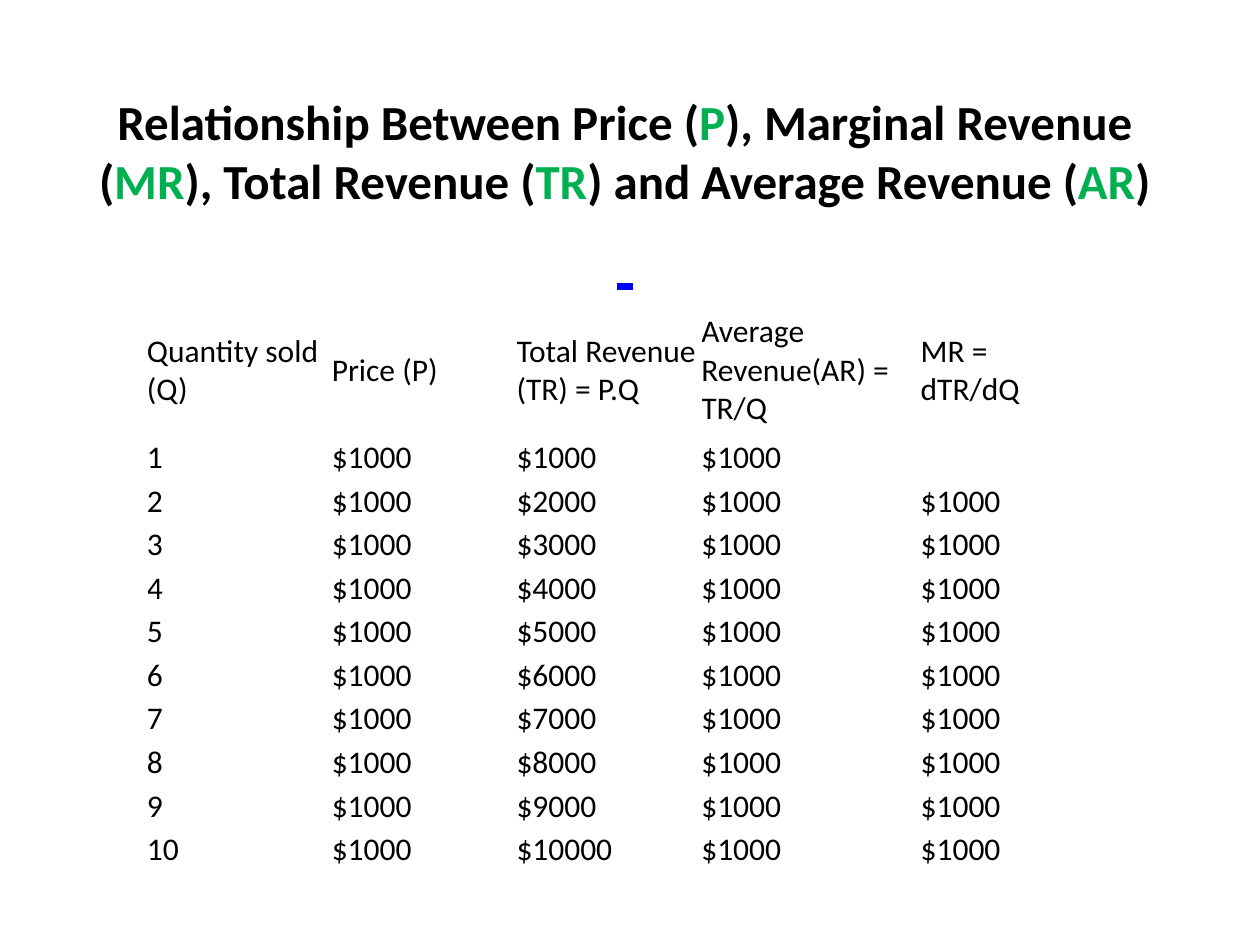
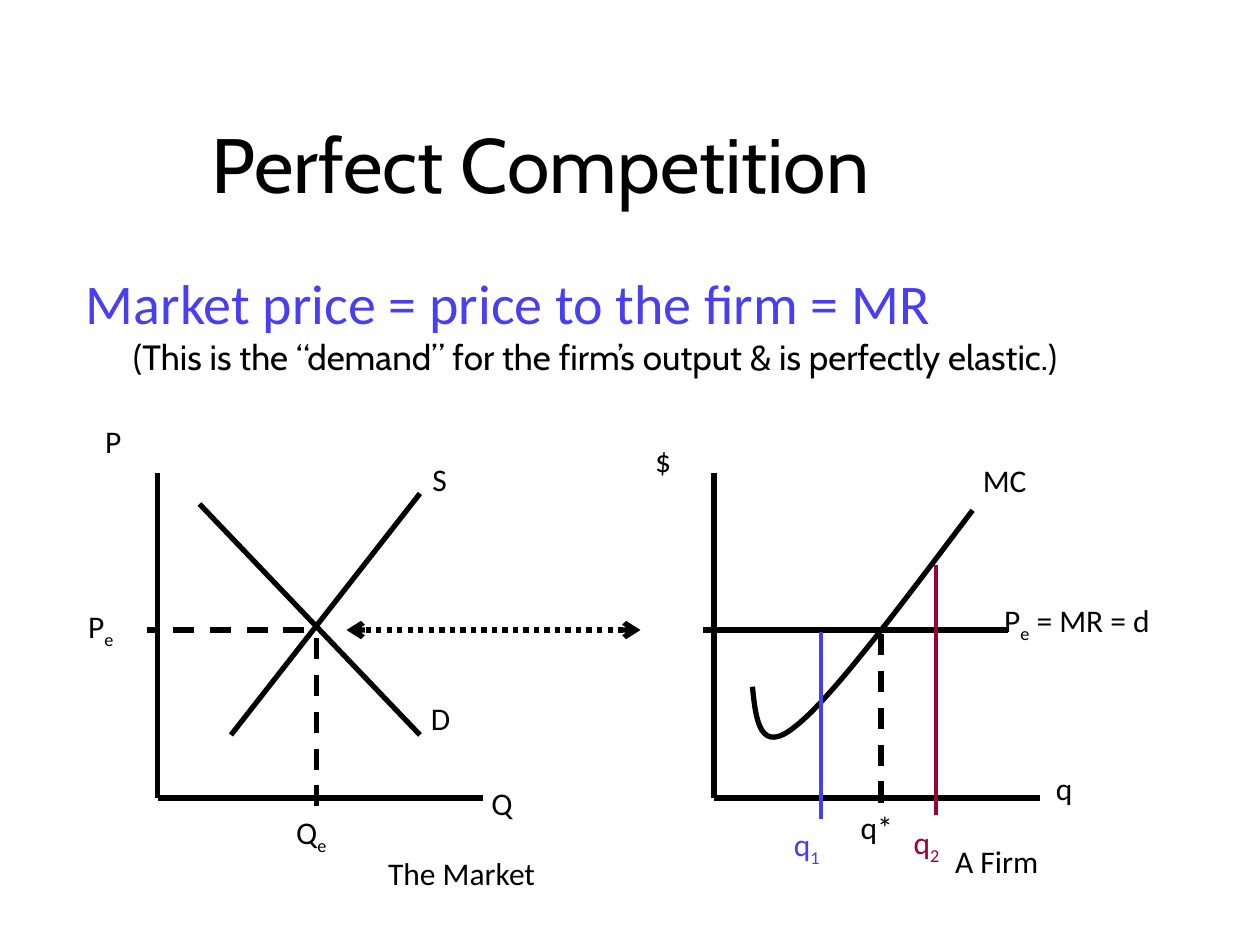
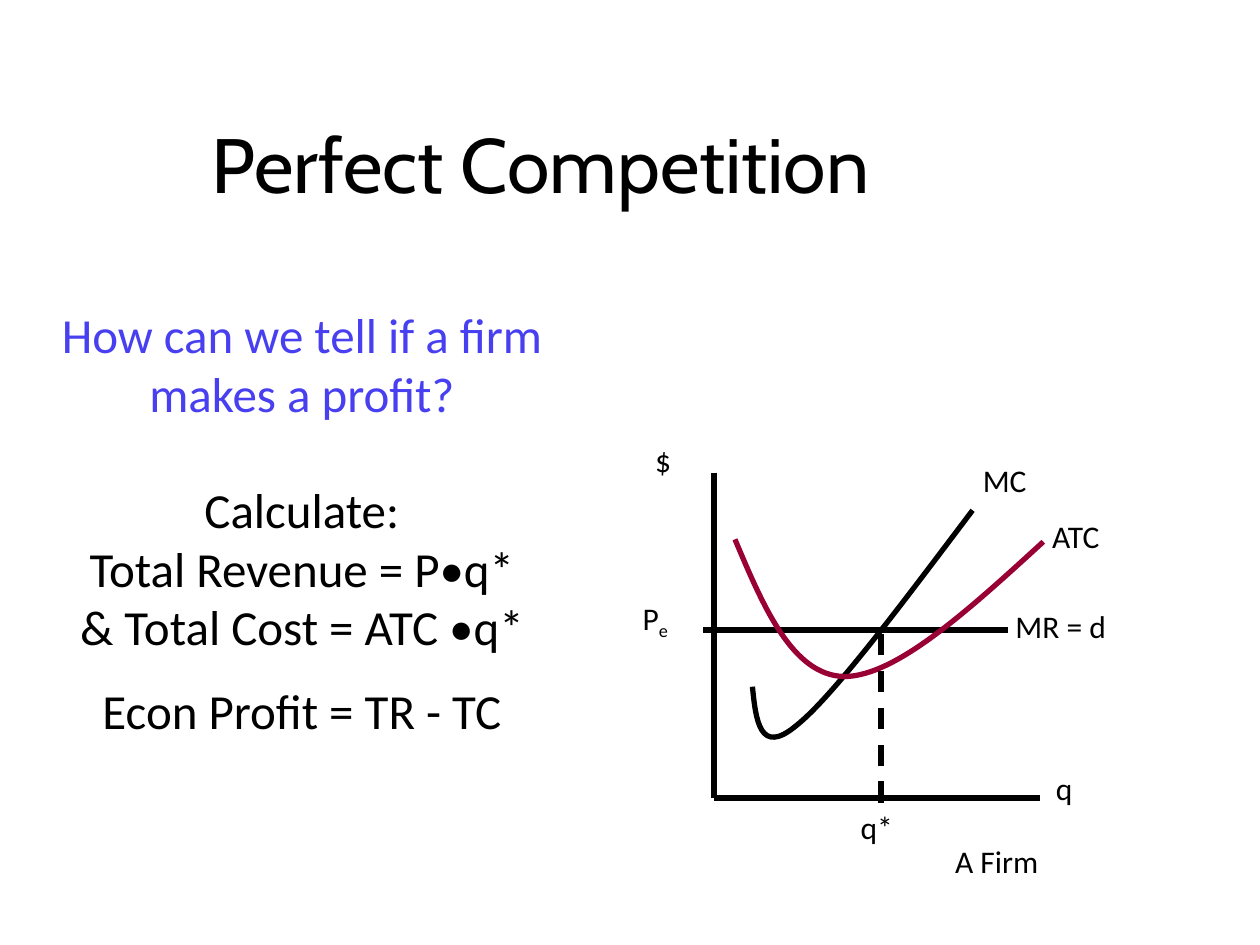
from dataclasses import dataclass
from typing import Optional, Sequence

from lxml import etree
from pptx import Presentation
from pptx.dml.color import RGBColor
from pptx.enum.dml import MSO_LINE
from pptx.enum.shapes import MSO_CONNECTOR
from pptx.enum.text import MSO_ANCHOR as Anchor, PP_ALIGN as Align
from pptx.oxml.ns import qn
from pptx.util import Pt


# Theme
@dataclass(frozen=True)
class Theme:
    black: str = "000000"
    green: str = "00B050"
    blue: str = "4840F0"
    link_blue: str = "0000FF"
    red: str = "990033"
    body_font: str = "Calibri"
    title_font: str = "Cabin"
    title: int = 44
    mark: int = 40
    lead: int = 32
    body: int = 28
    note: int = 20
    label: int = 18
    stroke: float = 3
    thin: float = 2.25


T = Theme()
Point = tuple[float, float]


# Repeated elements
@dataclass(frozen=True)
class Run:
    text: str
    size: float = T.label
    color: str = T.black
    font: str = T.body_font
    bold: bool = False
    underline: bool = False
    sub: bool = False


@dataclass(frozen=True)
class Para:
    runs: Sequence[Run]
    align: Align = Align.LEFT
    before: float = 0
    hanging: float = 0


@dataclass(frozen=True)
class Label:
    x: float
    y: float
    text: str
    sub: str = ""
    tail: str = ""
    color: str = T.black
    w: float = 29


@dataclass(frozen=True)
class Line:
    start: Point
    end: Point
    color: str = T.black
    width: float = T.stroke
    dash: Optional[MSO_LINE] = None
    arrows: bool = False


# Drawing functions
def write(tf, paras: Sequence[Para]) -> None:
    for i, para in enumerate(paras):
        p = tf.add_paragraph() if i else tf.paragraphs[0]
        p.alignment = para.align
        if para.before:
            p.space_before = Pt(para.before)
        if para.hanging:
            pPr = p._p.get_or_add_pPr()
            pPr.set("marL", str(Pt(para.hanging)))
            pPr.set("indent", str(-Pt(para.hanging)))
        for run in para.runs:
            for j, text in enumerate(run.text.split("\n")):
                if j:
                    p.add_line_break()
                if not text:
                    continue
                r = p.add_run()
                r.text = text
                fmt = {"name": run.font, "size": Pt(run.size),
                       "bold": run.bold, "underline": run.underline}
                for name, value in fmt.items():
                    setattr(r.font, name, value)
                r.font.color.rgb = RGBColor.from_string(run.color)
                if run.sub:
                    r._r.get_or_add_rPr().set("baseline", "-25000")


def text_box(s, x: float, y: float, w: float, h: float, paras: Sequence[Para],
             anchor: Anchor = Anchor.TOP, inset: Optional[float] = None) -> None:
    tf = s.shapes.add_textbox(Pt(x), Pt(y), Pt(w), Pt(h)).text_frame
    fmt = {"word_wrap": True, "vertical_anchor": anchor}
    if inset is not None:
        sides = ("left", "top", "right", "bottom")
        fmt.update({f"margin_{side}": Pt(inset) for side in sides})
    for name, value in fmt.items():
        setattr(tf, name, value)
    write(tf, paras)


def draw_title(s, text: str) -> None:
    run = Run(text, T.title, font=T.title_font)
    text_box(s, 54, 48, 510, 90, [Para([run], Align.CENTER)], Anchor.MIDDLE)


def draw_labels(s, labels: Sequence[Label]) -> None:
    for b in labels:
        runs = [Run(b.text, color=b.color), Run(b.sub, color=b.color, sub=True),
                Run(b.tail, color=b.color)]
        text_box(s, b.x, b.y, b.w, 29, [Para(runs)], inset=0)


def draw_lines(s, lines: Sequence[Line]) -> None:
    for line in lines:
        ends = [Pt(v) for v in (*line.start, *line.end)]
        cx = s.shapes.add_connector(MSO_CONNECTOR.STRAIGHT, *ends)
        cx.line.color.rgb = RGBColor.from_string(line.color)
        cx.line.width = Pt(line.width)
        if line.dash is not None:
            cx.line.dash_style = line.dash
        if line.arrows:
            for tag in ("a:headEnd", "a:tailEnd"):
                etree.SubElement(cx.line._ln, qn(tag), type="arrow")
        etree.SubElement(cx._element.spPr, qn("a:effectLst"))


def draw_curve(s, points: Sequence[Point], color: str) -> None:
    """Draw a start point followed by triples of cubic Bezier points."""
    start, *rest = [(Pt(x), Pt(y)) for x, y in points]
    fb = s.shapes.build_freeform(*start)
    fb.add_line_segments(rest, close=False)
    sp = fb.convert_to_shape()
    sp.shadow.inherit = False
    sp.fill.background()
    sp.line.color.rgb = RGBColor.from_string(color)
    sp.line.width = Pt(T.stroke)
    outline = next(sp._element.iter(qn("a:path")))
    segments = outline.findall(qn("a:lnTo"))
    for i in range(0, len(segments), 3):
        bezier = etree.SubElement(outline, qn("a:cubicBezTo"))
        for segment in segments[i:i + 3]:
            bezier.append(segment[0])
            outline.remove(segment)


def draw_axes(s, left: float) -> None:
    top, bottom, width = 270, 456, 186
    draw_lines(s, [Line((left, top), (left, bottom)),
                   Line((left + width, bottom), (left, bottom))])


# Firm diagram shared by the two diagram slides
PRICE_Y = 360
Q_STAR_X = 503.5
MC_CURVE = [(430, 392.4), (432, 411.8), (434.2, 432), (455, 414.7),
            (475.9, 398.2), (515.5, 344.9), (555.8, 291.6)]
ATC_CURVE = [(420, 308.2), (436.3, 347), (452.9, 385.9), (482.4, 386.6),
             (511.9, 386.6), (553.7, 348.5), (596.2, 309.6)]


def draw_firm(s) -> None:
    draw_axes(s, 408)
    draw_lines(s, [
        Line((576, PRICE_Y), (402, PRICE_Y)),
        Line((Q_STAR_X, 458.6), (Q_STAR_X, PRICE_Y), dash=MSO_LINE.DASH),
    ])
    draw_curve(s, MC_CURVE, T.black)
    draw_labels(s, [
        Label(374.4, 252, "$"),
        Label(561.6, 263.5, "MC", w=48),
        Label(603.4, 439.2, "q"),
        Label(491.8, 461.5, "q*"),
        Label(545.8, 481, "A Firm", w=117),
    ])


# Slide 1: revenue table
PRICE = 1000
HEADINGS = ["Quantity sold (Q)", "Price (P)", "Total Revenue (TR) = P.Q",
            "Average Revenue(AR) = TR/Q", "MR = dTR/dQ"]
COLUMN_WIDTHS = [105.6, 105.6, 105.6, 125.4, 85.6]
HEADING_PARTS = ["Relationship Between Price (", "P", "), Marginal Revenue (",
                 "MR", "), Total Revenue (", "TR", ") and Average Revenue (",
                 "AR", ")"]


def revenue_slide(s) -> None:
    price = f"${PRICE}"
    rows = [HEADINGS] + [
        [str(q), price, f"${PRICE * q}", price, price if q > 1 else ""]
        for q in range(1, 11)]
    heights = [75] + [24.9] * 10
    table = s.shapes.add_table(len(rows), len(HEADINGS), Pt(84), Pt(174.2),
                               Pt(sum(COLUMN_WIDTHS)), Pt(sum(heights))).table
    table.first_row = table.horz_banding = False
    for column, width in zip(table.columns, COLUMN_WIDTHS):
        column.width = Pt(width)
    cell_format = {"vertical_anchor": Anchor.MIDDLE, "margin_left": 0,
                   "margin_top": 0, "margin_right": 0, "margin_bottom": 0}
    for row, height, values in zip(table.rows, heights, rows):
        row.height = Pt(height)
        for cell, value in zip(row.cells, values):
            cell.fill.background()
            for name, setting in cell_format.items():
                setattr(cell, name, setting)
            write(cell.text_frame, [Para([Run(value)])])

    # Heading with the symbols in green
    heading = [Run(part, T.body, T.green if i % 2 else T.black, bold=True)
               for i, part in enumerate(HEADING_PARTS)]
    mark = Run(" ", T.mark, T.link_blue, underline=True)
    text_box(s, 36, 48, 642, 124, [Para(heading, Align.CENTER),
                                   Para([mark], Align.CENTER)], Anchor.MIDDLE)


# Slide 2: the market beside the firm
def market_slide(s) -> None:
    draw_title(s, "Perfect Competition")
    lead = Run("Market price = price to the firm = MR\n", T.lead, T.blue)
    note = Run("(This is the “demand” for the firm’s output & is perfectly "
               "elastic.)", T.note, font=T.title_font)
    text_box(s, 42, 150, 636, 78, [Para([lead, note], hanging=27)])

    draw_firm(s)
    draw_axes(s, 90)
    draw_lines(s, [
        Line((114, 288), (240, 420)),
        Line((240, 282), (132, 420)),
        Line((174, PRICE_Y), (84, PRICE_Y), dash=MSO_LINE.DASH),
        Line((366, PRICE_Y), (198, PRICE_Y), dash=MSO_LINE.ROUND_DOT, arrows=True),
        Line((180.7, 460.8), (180.7, 363), dash=MSO_LINE.DASH),
        Line((469.2, 361.4), (469.2, 468), T.blue, T.thin),
        Line((535, 322.8), (535, 465.8), T.red, T.thin),
    ])
    draw_labels(s, [
        Label(280.8, 447.8, "Q"),
        Label(169.2, 464.4, "Q", "e"),
        Label(50.4, 347, "P", "e"),
        Label(60, 241.2, "P"),
        Label(247, 262.8, "S"),
        Label(246.2, 399.6, "D"),
        Label(573.8, 343.4, "P", "e", " = MR = d", w=133),
        Label(221.8, 488.2, "The Market", w=117),
        Label(453.6, 471.6, "q", "1", color=T.blue),
        Label(522, 470.2, "q", "2", color=T.red),
    ])


# Slide 3: profit of the firm
def profit_slide(s) -> None:
    draw_title(s, "Perfect Competition")
    steps = "Calculate:\nTotal Revenue = P•q*\n& Total Cost = ATC •q*"
    question = Run("How can we tell if a firm makes a profit?", T.body, T.blue)
    text_box(s, 16, 170.6, 313, 277, [
        Para([question], Align.CENTER),
        Para([Run(steps, T.body)], Align.CENTER, before=32.5),
        Para([Run("Econ Profit = TR - TC", T.body)], Align.CENTER, before=14),
    ])

    draw_firm(s)
    draw_curve(s, ATC_CURVE, T.red)
    draw_labels(s, [
        Label(580.3, 347, "MR = d", w=81),
        Label(367.2, 342, "P", "e"),
        Label(601.2, 295.2, "ATC", w=61),
    ])


def main() -> None:
    prs = Presentation()
    prs.slide_width, prs.slide_height = Pt(720), Pt(540)
    for build in (revenue_slide, market_slide, profit_slide):
        build(prs.slides.add_slide(prs.slide_layouts[6]))
    prs.save("out.pptx")


if __name__ == "__main__":
    main()
